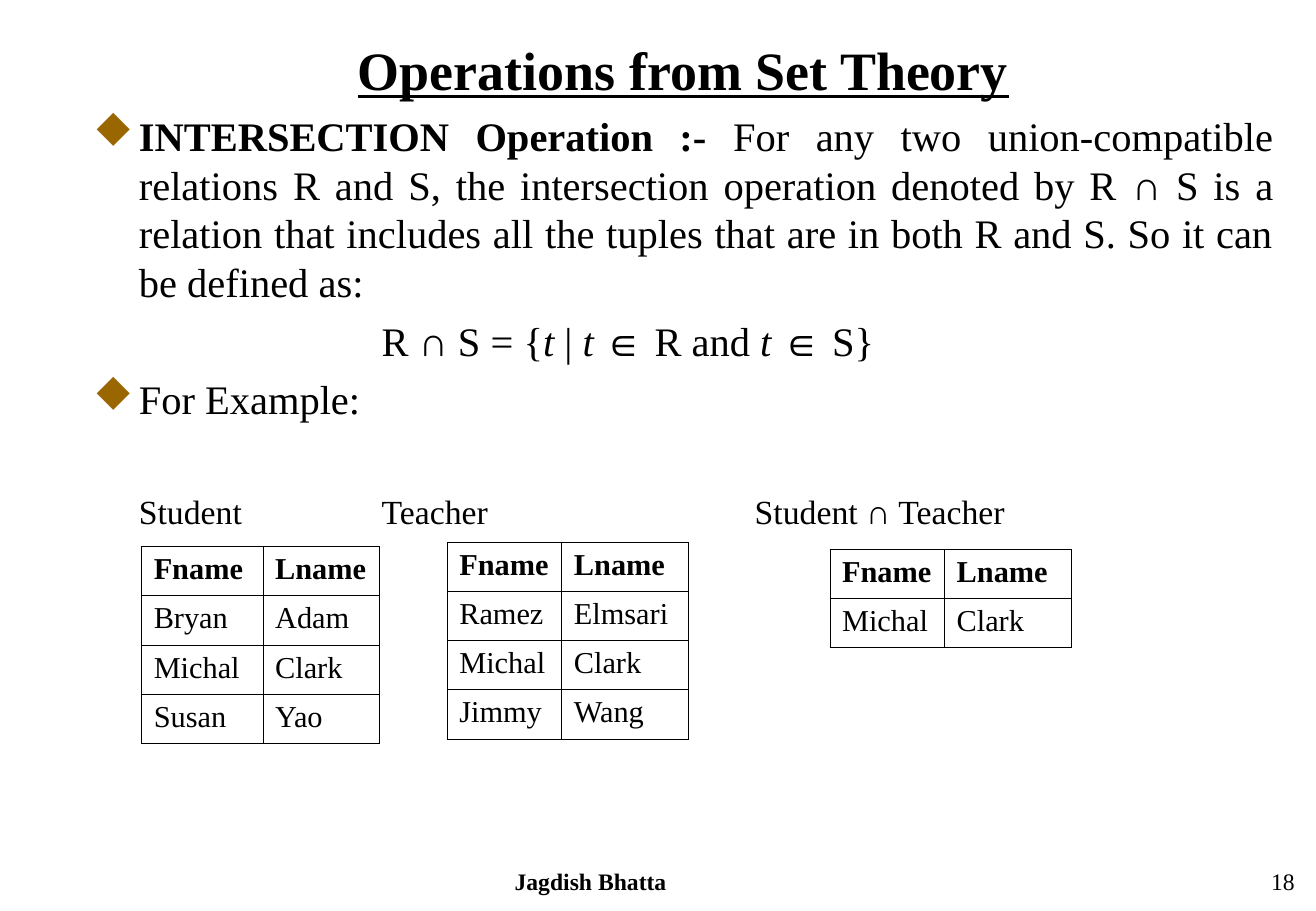
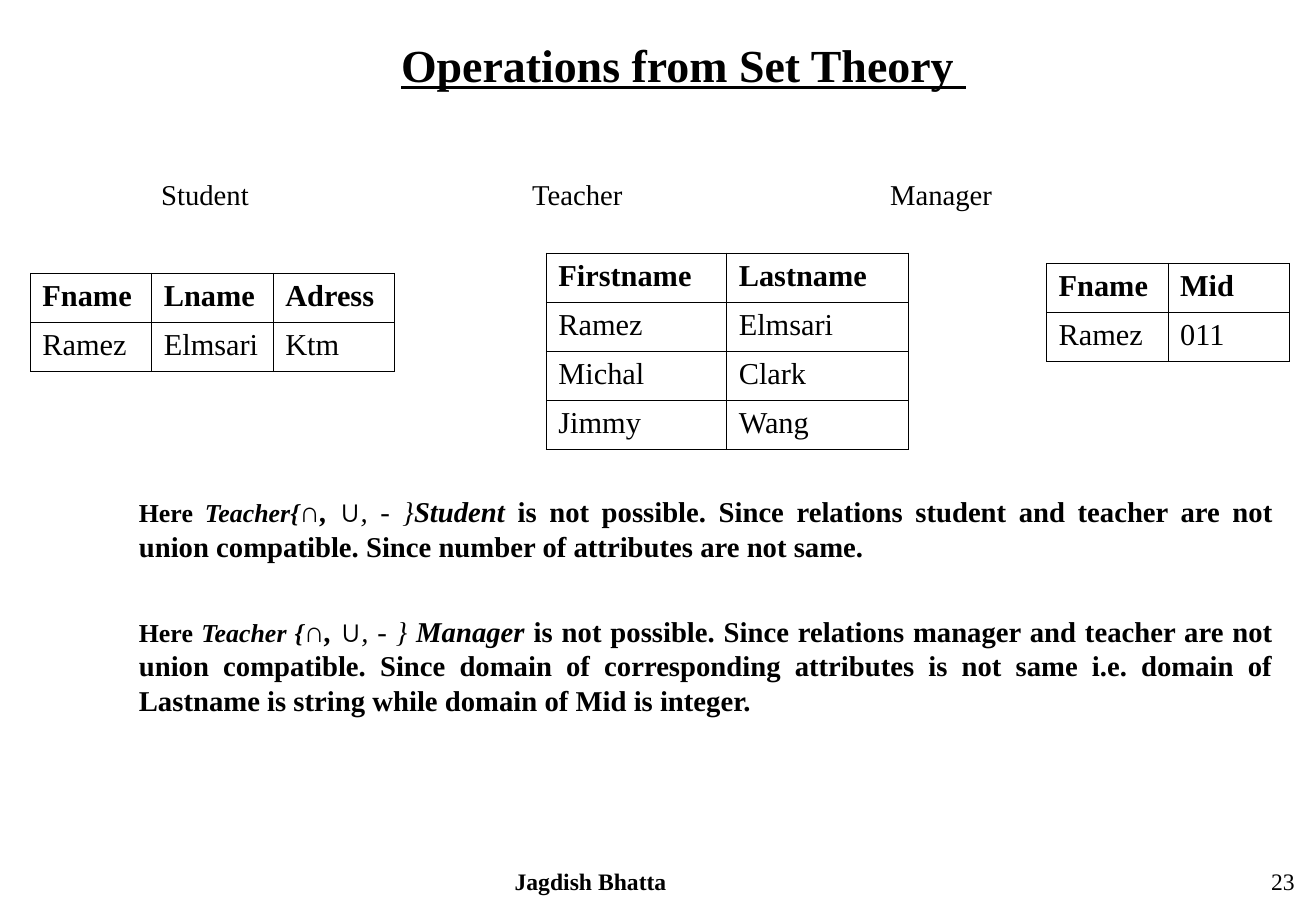
from lxml import etree
from pptx import Presentation
from pptx.dml.color import RGBColor
from pptx.enum.text import PP_ALIGN
from pptx.oxml.ns import qn
from pptx.util import Pt

LEFT, CENTER = PP_ALIGN.LEFT, PP_ALIGN.CENTER
RIGHT, JUSTIFY = PP_ALIGN.RIGHT, PP_ALIGN.JUSTIFY
SERIF, SANS, BULLET_FONT = "Times New Roman", "Arial", "Wingdings"
DIAMOND = "u"
BLACK, BROWN = "000000", "996600"
BODY_LEFT, BODY_WIDTH, INDENT = 48.3, 714, 27
ROW_HEIGHT = 29.16
BOLD, PLAIN = {"bold": True}, {"bold": False}
ITALIC = {"italic": True}
BOLD_ITALIC = {"bold": True, "italic": True}
SYMBOL = {"name": SANS}


def color(hex_text):
    """Return the colour for a hex string."""
    return RGBColor.from_string(hex_text)


def set_font(font, size, name=SERIF, bold=None, italic=None, underline=None):
    """Set the properties of a paragraph or run font."""
    font.name = name
    font.size = Pt(size)
    font.bold = bold
    font.italic = italic
    font.underline = underline
    font.color.rgb = color(BLACK)


def add_box(slide, left, top, width, height):
    """Add an empty wrapping text box and return its text frame."""
    frame = slide.shapes.add_textbox(Pt(left), Pt(top), Pt(width), Pt(height)).text_frame
    frame.word_wrap = True
    return frame


def add_line(slide, text, left, top, width, size, align=LEFT, **style):
    """Add a text box holding one line of uniform text."""
    paragraph = add_box(slide, left, top, width, size * 1.2 + 8).paragraphs[0]
    paragraph.text = text
    paragraph.alignment = align
    set_font(paragraph.font, size, **style)


def add_bullet(paragraph):
    """Give a paragraph a brown diamond bullet."""
    properties = paragraph._p.get_or_add_pPr()
    properties.set("indent", str(Pt(-INDENT)))
    bullet_color = etree.SubElement(properties, qn("a:buClr"))
    etree.SubElement(bullet_color, qn("a:srgbClr"), val=BROWN)
    etree.SubElement(properties, qn("a:buFont"), typeface=BULLET_FONT,
                     pitchFamily="2", charset="2")
    etree.SubElement(properties, qn("a:buChar"), char=DIAMOND)


def add_paragraph(frame, runs, size, margin=INDENT, space=0, bullet=False):
    """Fill the next paragraph with (text, style) runs."""
    first = frame.paragraphs[0]
    paragraph = frame.add_paragraph() if first.runs else first
    paragraph.alignment = JUSTIFY
    paragraph.space_before = Pt(space)
    paragraph._p.get_or_add_pPr().set("marL", str(Pt(margin)))
    if bullet:
        add_bullet(paragraph)
    for text, style in runs:
        run = paragraph.add_run()
        run.text = text
        set_font(run.font, **{"size": size, **style})


def set_borders(cell):
    """Draw a thin black line on each side of a cell."""
    properties = cell._tc.get_or_add_tcPr()
    for position, side in enumerate(("a:lnL", "a:lnR", "a:lnT", "a:lnB")):
        line = etree.Element(qn(side), w=str(Pt(0.45)))
        fill = etree.SubElement(line, qn("a:solidFill"))
        etree.SubElement(fill, qn("a:srgbClr"), val=BLACK)
        properties.insert(position, line)


def add_relation(slide, left, top, widths, rows):
    """Add a relation as a table with a bold header row."""
    table = slide.shapes.add_table(
        len(rows), len(widths), Pt(left), Pt(top),
        Pt(sum(widths)), Pt(ROW_HEIGHT * len(rows))).table
    table.horz_banding = False
    for column, width in zip(table.columns, widths):
        column.width = Pt(width)
    for row_index, values in enumerate(rows):
        table.rows[row_index].height = Pt(ROW_HEIGHT)
        for column_index, value in enumerate(values):
            cell = table.cell(row_index, column_index)
            cell.fill.background()
            set_borders(cell)
            paragraph = cell.text_frame.paragraphs[0]
            paragraph.text = value
            set_font(paragraph.font, 18, bold=row_index == 0)


def add_labels(slide, labels, top, size):
    """Add the relation names given as (left, text) in one row."""
    for left, text in labels:
        add_line(slide, text, left, top, 200, size)


def add_base(presentation, title, title_size, number):
    """Add a slide with the shared title and footer."""
    slide = presentation.slides.add_slide(presentation.slide_layouts[6])
    add_line(slide, title, BODY_LEFT, 18, BODY_WIDTH, title_size, CENTER,
             bold=True, underline=True)
    add_line(slide, "Jagdish Bhatta", 204, 510, 292.5, 14, CENTER, bold=True)
    add_line(slide, number, 612, 510, 163, 14, RIGHT)
    return slide


def build_intersection(presentation):
    """Build the slide that defines the intersection."""
    slide = add_base(presentation, "Operations from Set Theory", 32, "18")
    frame = add_box(slide, BODY_LEFT, 62.3, BODY_WIDTH, 190)
    add_paragraph(frame, [
        ("INTERSECTION Operation :- ", BOLD),
        ("For any two union-compatible relations R and S, "
         "the intersection operation denoted by R ", PLAIN),
        ("∩", {**SYMBOL, **BOLD}),
        (" S is a relation that includes all the tuples that are in both "
         "R and S. So it can be defined as:", PLAIN)], 24, bullet=True)
    add_paragraph(frame, [
        ("R ", PLAIN), ("∩", SYMBOL), (" S = {", PLAIN), ("t", ITALIC),
        (" | ", PLAIN), ("t ", ITALIC), ("∈", SYMBOL), (" R and", PLAIN),
        (" t ", ITALIC), ("∈", SYMBOL), (" S}", PLAIN)], 24, margin=171, space=6)
    add_paragraph(frame, [("For Example:", PLAIN)], 24, space=6, bullet=True)
    add_labels(slide, [(75.3, "Student"), (219.3, "Teacher"),
                       (440.5, "Student ∩ Teacher")], 287.5, 20)
    header = ("Fname", "Lname")
    add_relation(slide, 84, 324, (72, 69), [
        header, ("Bryan", "Adam"), ("Michal", "Clark"), ("Susan", "Yao")])
    add_relation(slide, 265.2, 321.4, (68, 75), [
        header, ("Ramez", "Elmsari"), ("Michal", "Clark"), ("Jimmy", "Wang")])
    add_relation(slide, 492.2, 325.6, (68, 75), [header, ("Michal", "Clark")])


def add_note(frame, first, second, reason, space=0):
    """Add a note on why two relations cannot be combined."""
    add_paragraph(frame, [
        ("Here ", {"size": 15.3, **BOLD}),
        (first, {"size": 15.3, **BOLD_ITALIC}),
        ("∩", {**SYMBOL, **BOLD_ITALIC}), (", ", BOLD_ITALIC),
        ("∪", {**SYMBOL, **ITALIC}), (", - }", ITALIC),
        (second, BOLD_ITALIC), (reason, BOLD)], 17, space=space)


def build_compatibility(presentation):
    """Build the slide on relations that are not union compatible."""
    slide = add_base(presentation, "Operations from Set Theory ", 27.2, "23")
    add_labels(slide, [(88.5, "Student"), (308.5, "Teacher"),
                       (520.8, "Manager")], 101.4, 17)
    add_relation(slide, 324, 150, (107, 108), [
        ("Firstname", "Lastname"), ("Ramez", "Elmsari"),
        ("Michal", "Clark"), ("Jimmy", "Wang")])
    add_relation(slide, 18, 162, (72, 72, 72), [
        ("Fname", "Lname", "Adress"), ("Ramez", "Elmsari", "Ktm")])
    add_relation(slide, 620.7, 156, (72, 72), [("Fname", "Mid"), ("Ramez", "011")])
    frame = add_box(slide, BODY_LEFT, 289.4, BODY_WIDTH, 144)
    add_note(frame, "Teacher{", "Student ",
             "is not possible. Since relations student and teacher are not "
             "union compatible. Since number of attributes are not same.")
    add_note(frame, "Teacher {", " Manager ",
             "is not possible. Since relations manager and teacher are not "
             "union compatible. Since domain of corresponding attributes is "
             "not same i.e. domain of Lastname is string while domain of Mid "
             "is integer.", space=30)


def main():
    """Build and save the presentation."""
    presentation = Presentation()
    presentation.slide_width = Pt(780.48)
    presentation.slide_height = Pt(540)
    build_intersection(presentation)
    build_compatibility(presentation)
    presentation.save("out.pptx")


if __name__ == "__main__":
    main()
